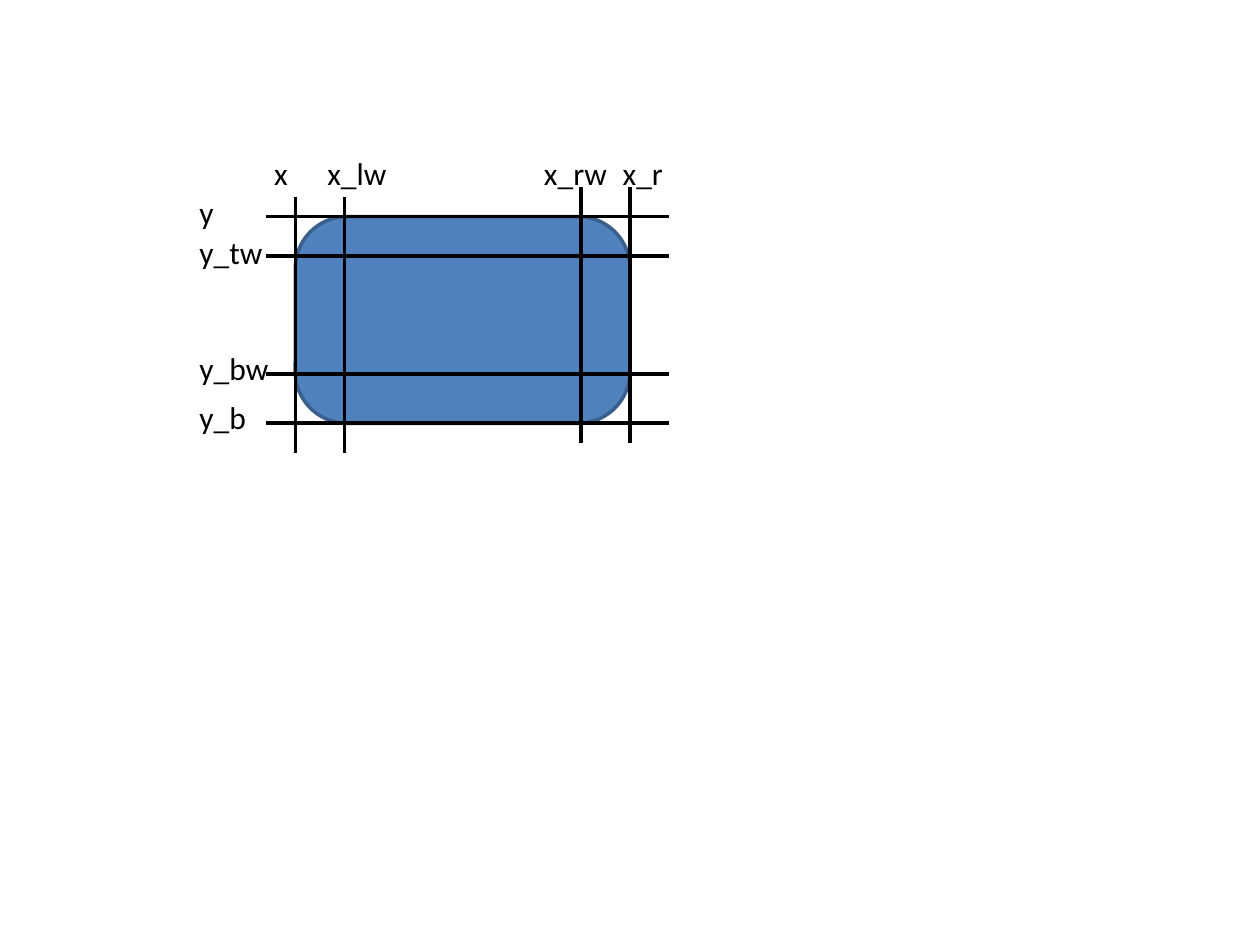
from pptx import Presentation
from pptx.dml.color import RGBColor
from pptx.enum.shapes import MSO_CONNECTOR, MSO_SHAPE
from pptx.enum.text import MSO_AUTO_SIZE
from pptx.util import Inches, Pt
from lxml.etree import SubElement
from pptx.oxml.ns import qn

WIDE, HIGH = 10, 7.5
UNIT = WIDE / 128  # one grid step, in inches
FONT = {"name": "Calibri", "size": Pt(18)}
FRAME = {"word_wrap": False, "auto_size": MSO_AUTO_SIZE.SHAPE_TO_FIT_TEXT}

# Guides: grid position, label, label offset (left or top), label width
COLS = [(30, "x", 26.6, 4), (35, "x_lw", 32, 8.7),
        (59, "x_rw", 54, 9.1), (64, "x_r", 62, 6.7)]
ROWS = [(22, "y", 19, 4.1), (26, "y_tw", 23, 9.1),
        (38, "y_bw", 34.8, 9.6), (43, "y_b", 39.8, 7.4)]


def grid(*steps):
    return [Inches(step * UNIT) for step in steps]


def tint(code):
    return RGBColor.from_string(code)


def style(item, values):
    for name, value in values.items():
        setattr(item, name, value)


def panel(slide, left, top, right, bottom):
    box = slide.shapes.add_shape(MSO_SHAPE.ROUNDED_RECTANGLE,
                                 *grid(left, top, right - left, bottom - top))
    box.adjustments[0] = 0.25
    box.shadow.inherit = False
    box.fill.solid()
    box.fill.fore_color.rgb = tint("4F81BD")
    box.line.color.rgb = tint("3A5F8C")
    box.line.width = Pt(2)


def guide(slide, *ends):
    rule = slide.shapes.add_connector(MSO_CONNECTOR.STRAIGHT, *grid(*ends))
    rule.line.color.rgb = tint("000000")
    rule.line.width = Pt(2)
    SubElement(rule.element.spPr, qn("a:effectLst"))


def label(slide, text, left, top, width):
    frame = slide.shapes.add_textbox(*grid(left, top, width, 5.17)).text_frame
    style(frame, FRAME)
    run = frame.paragraphs[0].add_run()
    run.text = text
    style(run.font, FONT)
    run.font.color.rgb = tint("000000")


def main():
    deck = Presentation()
    style(deck, {"slide_width": Inches(WIDE), "slide_height": Inches(HIGH)})
    slide = deck.slides.add_slide(deck.slide_layouts[6])

    # Rounded panel between the outer guides
    panel(slide, COLS[0][0], ROWS[0][0], COLS[-1][0], ROWS[-1][0])

    # Upright guides: the right pair sits one step higher
    for num, (x, text, left, width) in enumerate(COLS):
        top = 20 - num // 2
        guide(slide, x, top, x, top + 26)
        label(slide, text, left, 15, width)

    # Level guides
    for y, text, top, width in ROWS:
        guide(slide, 27, y, 68, y)
        label(slide, text, 19, top, width)

    deck.save("out.pptx")


main()
